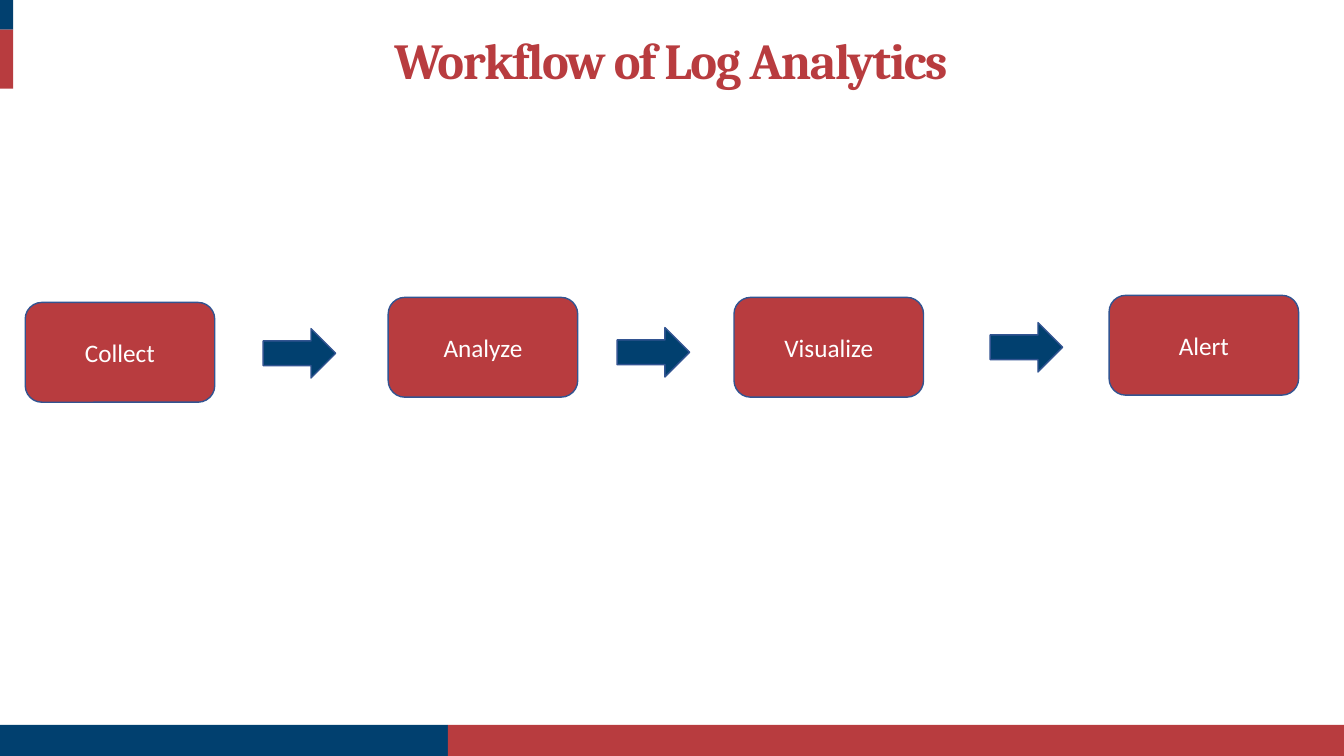
from pptx import Presentation
from pptx.dml.color import RGBColor
from pptx.enum.shapes import MSO_SHAPE
from pptx.enum.text import MSO_ANCHOR, PP_ALIGN
from pptx.util import Inches, Pt

NAVY = RGBColor(0x01, 0x40, 0x6F)
RED = RGBColor(0xB8, 0x3C, 0x3F)
OUTLINE = RGBColor(0x32, 0x54, 0x91)
WHITE = RGBColor(0xFF, 0xFF, 0xFF)

SLIDE_WIDTH, SLIDE_HEIGHT = 13.33, 7.5
STEP_SIZE = (1.88, 0.99)
ARROW_SIZE = (0.72, 0.49)

# Left and top of each part, relative to the workflow region
STEPS = [
    ("Collect", 0, 0.07),
    ("Analyze", 3.6, 0.02),
    ("Visualize", 7.03, 0.02),
    ("Alert", 10.75, 0),
]
ARROWS = [(2.36, 0.33), (5.87, 0.32), (9.57, 0.27)]


def write_text(frame, text, *, font, size, color, bold=False,
               tracking=None, line_spacing=None):
    """Fill the frame with one centred paragraph; tracking is in points."""
    frame.word_wrap = True
    paragraph = frame.paragraphs[0]
    paragraph.alignment = PP_ALIGN.CENTER
    if line_spacing:
        paragraph.line_spacing = Pt(line_spacing)
    run = paragraph.add_run()
    run.text = text
    run.font.name = font
    run.font.size = Pt(size)
    run.font.bold = bold
    run.font.color.rgb = color
    if tracking:
        run._r.get_or_add_rPr().set("spc", str(int(tracking * 100)))


def add_block(slide, preset, left, top, width, height, fill, outline=None):
    block = slide.shapes.add_shape(
        preset, Inches(left), Inches(top), Inches(width), Inches(height))
    block.shadow.inherit = False
    block.fill.solid()
    block.fill.fore_color.rgb = fill
    if outline is None:
        block.line.fill.background()
    else:
        block.line.color.rgb = outline
        block.line.width = Pt(1)
    return block


def add_footer_band(slide, left, top, width, height):
    """Draw a band whose first third is navy and the rest red."""
    third = width / 3
    add_block(slide, MSO_SHAPE.RECTANGLE, left, top, third, height, NAVY)
    add_block(slide, MSO_SHAPE.RECTANGLE, left + third, top,
              2 * third, height, RED)


def add_corner_accent(slide, left, top, width, height):
    """Draw an upright bar whose upper third is navy and the rest red."""
    third = height / 3
    add_block(slide, MSO_SHAPE.RECTANGLE, left, top, width, third, NAVY)
    add_block(slide, MSO_SHAPE.RECTANGLE, left, top + third,
              width, 2 * third, RED)


def add_title(slide, left, top, width, height):
    title = slide.shapes.add_textbox(
        Inches(left), Inches(top), Inches(width), Inches(height))
    frame = title.text_frame
    frame.margin_left = frame.margin_right = Inches(0.16)
    frame.margin_top = frame.margin_bottom = Inches(0.1)
    write_text(frame, "Workflow of Log Analytics", font="Cambria", size=36,
               color=RED, bold=True, tracking=-1, line_spacing=61.8)


def add_workflow(slide, left, top):
    for label, dx, dy in STEPS:
        step = add_block(slide, MSO_SHAPE.ROUNDED_RECTANGLE, left + dx,
                         top + dy, *STEP_SIZE, RED, OUTLINE)
        step.text_frame.vertical_anchor = MSO_ANCHOR.MIDDLE
        write_text(step.text_frame, label, font="Calibri", size=18,
                   color=WHITE)
    for dx, dy in ARROWS:
        add_block(slide, MSO_SHAPE.RIGHT_ARROW, left + dx, top + dy,
                  *ARROW_SIZE, NAVY, OUTLINE)


def main():
    deck = Presentation()
    deck.slide_width = Inches(SLIDE_WIDTH)
    deck.slide_height = Inches(SLIDE_HEIGHT)
    slide = deck.slides.add_slide(deck.slide_layouts[6])
    slide.background.fill.solid()
    slide.background.fill.fore_color.rgb = WHITE

    add_footer_band(slide, 0, 7.19, SLIDE_WIDTH, SLIDE_HEIGHT - 7.19)
    add_title(slide, 2.38, -0.07, 8.55, 0.79)
    add_corner_accent(slide, 0, 0, 0.13, 0.88)
    add_workflow(slide, 0.25, 2.93)
    deck.save("out.pptx")


if __name__ == "__main__":
    main()
